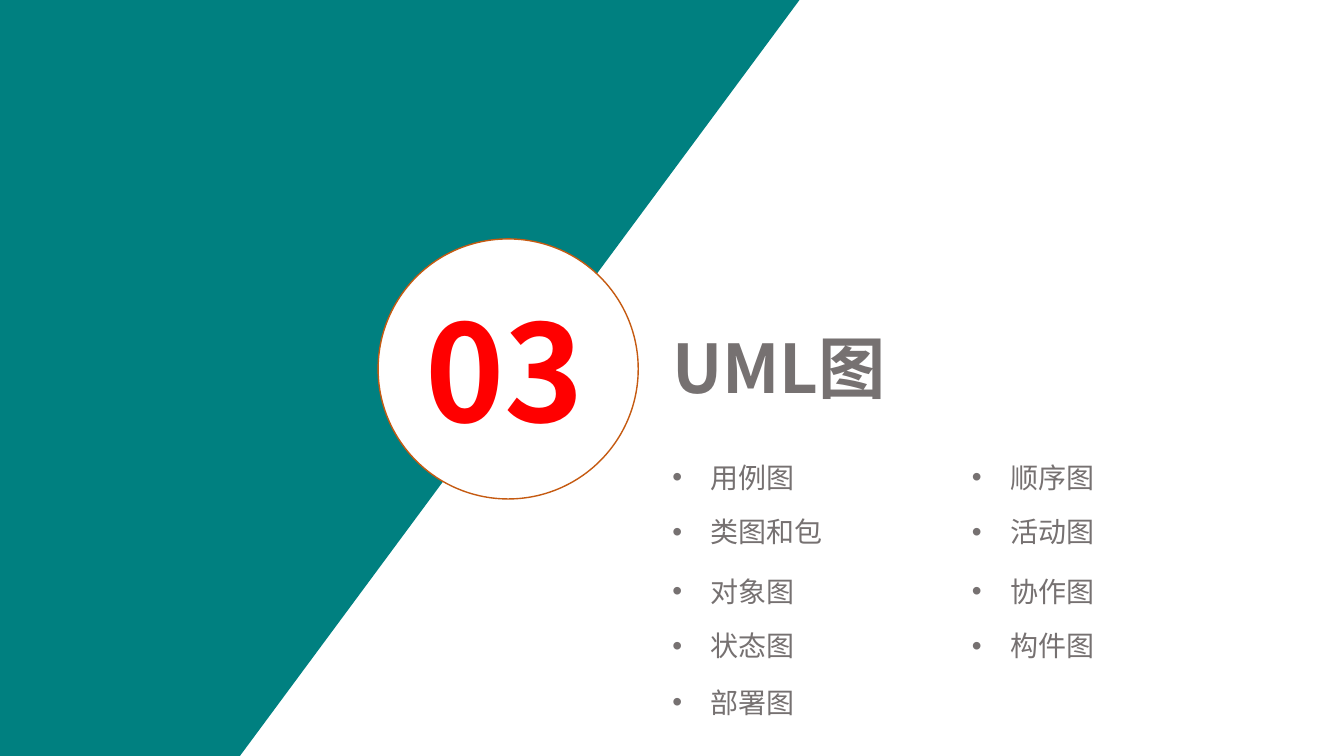
import lxml.etree
import pptx
import pptx.dml.color
import pptx.enum.shapes
import pptx.enum.text
import pptx.oxml.ns
import pptx.util

Inches = pptx.util.Inches
qn = pptx.oxml.ns.qn

# Content
SECTION_NUMBER = "03"
SECTION_TITLE = "UML图"
DIAGRAM_COLUMNS = [
    (6.57, ["用例图", "类图和包", "对象图", "状态图", "部署图"]),
    (9.54, ["顺序图", "活动图", "协作图", "构件图"]),
]
ROW_TOPS = [4.52, 5.06, 5.65, 6.19, 6.75]

# Formats
FONT = "Noto Sans CJK SC"
TEAL, WHITE, ORANGE = "008080", "FFFFFF", "C55A11"
NUMBER_FORMAT = {"size": pptx.util.Pt(96), "bold": True}
TITLE_FORMAT = {"size": pptx.util.Pt(48), "bold": True}
ITEM_FORMAT = {"size": pptx.util.Pt(20), "bold": False}
RED, GREY = "FF0000", "767171"
BULLET_INDENT = Inches(0.38)
SLIDE_WIDTH, SLIDE_HEIGHT = 13.33, 7.5
BAND_CORNERS = [(0, 0), (7.93, 0), (2.38, SLIDE_HEIGHT), (0, SLIDE_HEIGHT)]


def color(hex_value):
    return pptx.dml.color.RGBColor.from_string(hex_value)


def paint(shape, fill):
    shape.shadow.inherit = False
    shape.fill.solid()
    shape.fill.fore_color.rgb = color(fill)


def add_bullet(para):
    properties = para._p.get_or_add_pPr()
    properties.set("marL", str(BULLET_INDENT))
    properties.set("indent", str(-BULLET_INDENT))
    lxml.etree.SubElement(properties, qn("a:buFont")).set("typeface", "Arial")
    lxml.etree.SubElement(properties, qn("a:buChar")).set("char", "•")


def add_text(page, text, place, text_format, text_color, bullet=False):
    box = page.shapes.add_textbox(*map(Inches, place))
    frame = box.text_frame
    frame.word_wrap = True
    frame.auto_size = pptx.enum.text.MSO_AUTO_SIZE.SHAPE_TO_FIT_TEXT
    para = frame.paragraphs[0]
    if bullet:
        add_bullet(para)
    span = para.add_run()
    span.text = text
    for name, value in {**text_format, "name": FONT}.items():
        setattr(span.font, name, value)
    span.font.color.rgb = color(text_color)
    east_asian = lxml.etree.SubElement(span._r.get_or_add_rPr(), qn("a:ea"))
    east_asian.set("typeface", FONT)


def main():
    deck = pptx.Presentation()
    deck.slide_width = Inches(SLIDE_WIDTH)
    deck.slide_height = Inches(SLIDE_HEIGHT)
    page = deck.slides.add_slide(deck.slide_layouts[6])

    # Slanted teal band
    corners = [(Inches(x), Inches(y)) for x, y in BAND_CORNERS]
    builder = page.shapes.build_freeform(*corners[0])
    builder.add_line_segments(corners[1:], close=True)
    band = builder.convert_to_shape()
    paint(band, TEAL)
    band.line.fill.background()

    # Section number in its circle
    circle = page.shapes.add_shape(
        pptx.enum.shapes.MSO_SHAPE.OVAL, *map(Inches, (3.75, 2.37, 2.58, 2.58)))
    paint(circle, WHITE)
    circle.line.color.rgb = color(ORANGE)
    circle.line.width = pptx.util.Pt(1)
    add_text(page, SECTION_NUMBER, (4.12, 2.81, 1.9, 1.81), NUMBER_FORMAT, RED)

    # Title and the two columns of diagram names
    add_text(page, SECTION_TITLE, (6.57, 3.19, 5.62, 0.96), TITLE_FORMAT, GREY)
    for left, diagrams in DIAGRAM_COLUMNS:
        for top, diagram in zip(ROW_TOPS, diagrams):
            add_text(page, diagram, (left, top, 4.06, 0.46), ITEM_FORMAT, GREY,
                     bullet=True)

    deck.save("out.pptx")


if __name__ == "__main__":
    main()
